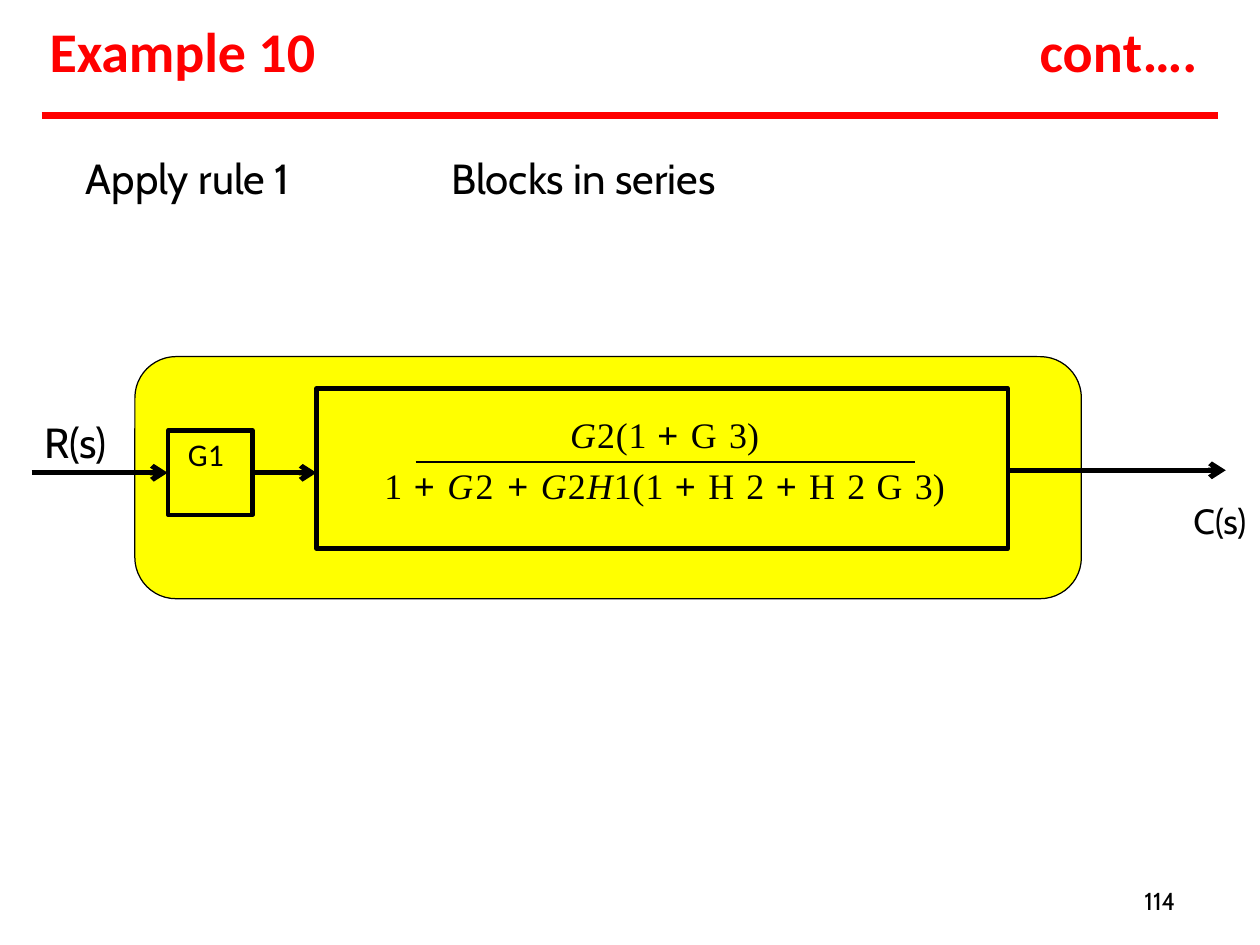
from lxml.etree import SubElement
from pptx import Presentation
from pptx.dml.color import RGBColor
from pptx.enum.shapes import MSO_CONNECTOR as CONN, MSO_SHAPE as SHAPE
from pptx.enum.text import MSO_ANCHOR as ANCHOR, MSO_AUTO_SIZE as FIT, PP_ALIGN as ALIGN
from pptx.oxml.ns import qn
from pptx.util import Cm, Pt


def rgb(code):
    return RGBColor.from_string(code)


def write(sp, *lines, size=24, font="Cabin", color="000000", bold=False,
          align=ALIGN.LEFT, top=0.03, left=0.03, gap=0):
    """Fill a shape with lines, each a string or a list of (text, letter spacing)."""
    tf = sp.text_frame
    tf.auto_size = FIT.NONE
    tf.word_wrap = True
    tf.vertical_anchor = ANCHOR.TOP
    tf.margin_left, tf.margin_top = Cm(left), Cm(top)
    tf.margin_right = tf.margin_bottom = 0
    for i, line in enumerate(lines):
        p = tf.add_paragraph() if i else tf.paragraphs[0]
        p.alignment = align
        p.space_before = Pt(gap if i else 0)
        p.line_spacing = 1.0
        for text, spacing in [(line, 0)] if isinstance(line, str) else line:
            r = p.add_run()
            r.text = text
            r.font.size, r.font.bold = Pt(size), bold
            r.font.name = "Arial" if text == "+ " else font
            r.font.color.rgb = rgb(color)
            if text in ("G", "H"):
                r.font.italic = True
            if spacing:
                r.font._element.set("spc", str(round(spacing * 100)))


prs = Presentation()
prs.slide_width, prs.slide_height = Cm(25.4), Cm(19.05)
s = prs.slides.add_slide(prs.slide_layouts[5])

# Title
title = s.shapes.title
title.left, title.top, title.width, title.height = Cm(0.97), Cm(0.3), Cm(5.7), Cm(1.42)
write(title, [("Example ", -0.1), ("10", 0)], size=32, font="Calibri",
      color="FF0000", bold=True)

# Blocks: shape, left, top, width, height, fill, line width
blocks = []
for kind, x, y, w, h, fill, weight in [
    (SHAPE.ROUNDED_RECTANGLE, 2.72, 7.19, 19.08, 4.88, "FFFF00", 0.72),
    (SHAPE.RECTANGLE, 3.39, 8.68, 1.7, 1.7, None, 2.52),
    (SHAPE.RECTANGLE, 6.38, 7.83, 13.94, 3.23, None, 2.52),
]:
    sp = s.shapes.add_shape(kind, Cm(x), Cm(y), Cm(w), Cm(h))
    sp.shadow.inherit = False
    if fill:
        sp.fill.solid()
        sp.fill.fore_color.rgb = rgb(fill)
    else:
        sp.fill.background()
    sp.line.color.rgb = rgb("000000")
    sp.line.width = Pt(weight)
    blocks.append(sp)
series, gain, transfer = blocks
series.adjustments[0] = 0.17

write(gain, "G1", size=18, font="Calibri", top=0.08, left=0.4)
numerator = [("G", 0.5), ("2(1 ", 0.5), ("+ ", 0.7), ("G ", 0.9), ("3)", 0.1)]
denominator = [
    ("1 ", 0.7), ("+ ", 0.7), ("G", 1.4), ("2 ", 1.4), ("+ ", 0.7),
    ("G", 0.6), ("2", 0.6), ("H", 0.6), ("1(1 ", 0.6), ("+ ", 0.7),
    ("H ", 0.9), ("2 ", 0.7), ("+ ", 0.7), ("H ", 0.9), ("2 ", 0.7),
    ("G ", 0.9), ("3)", 0.1),
]
write(transfer, numerator, denominator, size=20.5, font="Times New Roman",
      align=ALIGN.CENTER, top=0.48, left=0.1, gap=4.7)

# Horizontal lines: start, end, height on the slide, colour, width, arrowhead
for x1, x2, y, color, weight, arrow in [
    (0.84, 24.56, 2.33, "FF0000", 3.96, False),
    (8.38, 18.44, 9.32, "000000", 1, False),
    (0.64, 3.38, 9.53, "000000", 2.88, True),
    (5.09, 6.38, 9.53, "000000", 2.88, True),
    (20.32, 24.71, 9.48, "000000", 2.88, True),
]:
    line = s.shapes.add_connector(CONN.STRAIGHT, Cm(x1), Cm(y), Cm(x2), Cm(y))
    line.line.color.rgb = rgb(color)
    line.line.width = Pt(weight)
    if arrow:
        SubElement(line.line._get_or_add_ln(), qn("a:tailEnd"), type="arrow")
    SubElement(line._element.spPr, qn("a:effectLst"))

# Labels: text, left, top, width, height, format
heading = dict(size=32, font="Calibri", color="FF0000", bold=True)
for text, x, y, w, h, style in [
    ([("co", -0.1), ("n", -0.3), ("t", 0.1), ("….", 0)], 20.93, 0.3, 3.4, 1.42, heading),
    ("Apply rule 1", 1.7, 3.05, 4.7, 1.09, {}),
    ("Blocks in series", 9.07, 3.05, 6, 1.09, {}),
    ("R(s)", 0.86, 8.36, 1.63, 1.09, {}),
    ("C(s)", 24.03, 10.03, 1.37, 0.91, dict(size=20)),
    ("114", 22.99, 17.83, 0.97, 0.66, dict(size=14, left=0.08)),
]:
    write(s.shapes.add_textbox(Cm(x), Cm(y), Cm(w), Cm(h)), text, **style)

prs.save("out.pptx")
